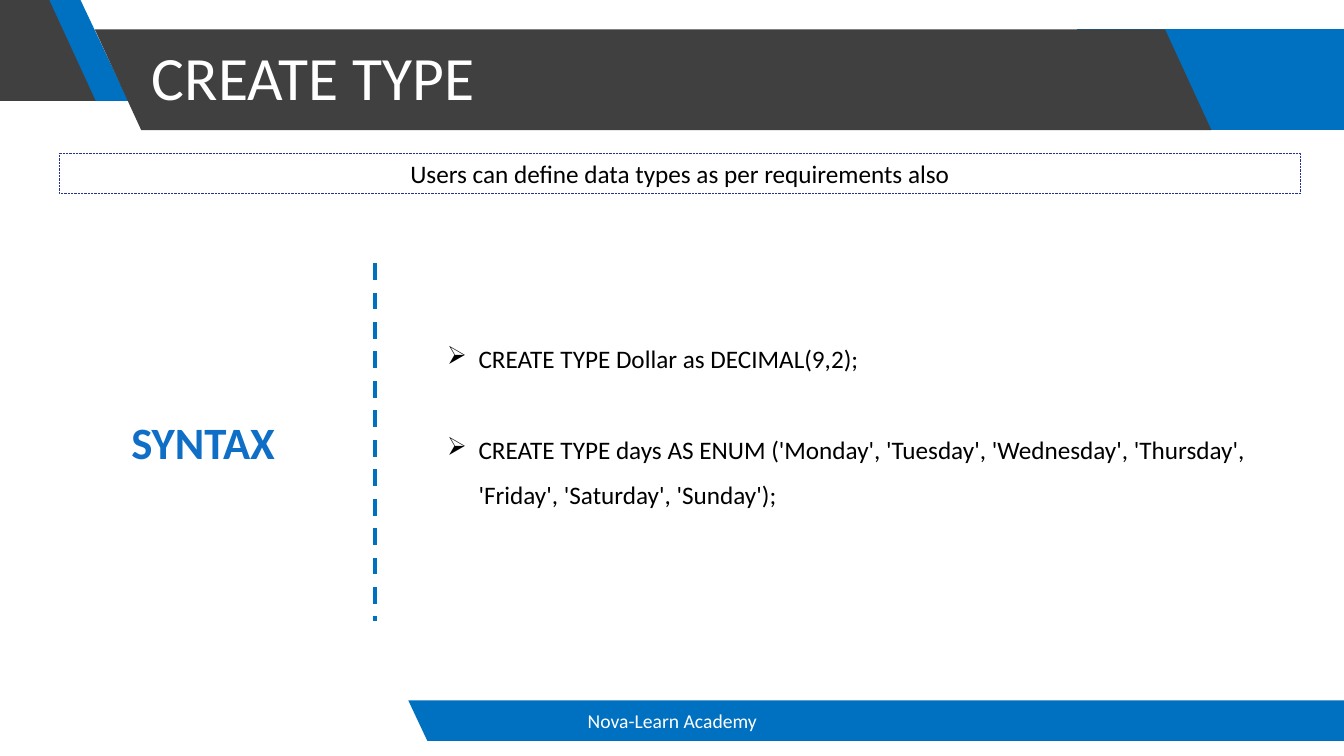
from lxml.etree import SubElement
from pptx import Presentation
from pptx.dml.color import RGBColor
from pptx.enum.dml import MSO_LINE
from pptx.enum.shapes import MSO_CONNECTOR, MSO_SHAPE
from pptx.enum.text import MSO_ANCHOR, PP_ALIGN
from pptx.oxml.ns import qn
from pptx.util import Cm, Pt

BLUE = RGBColor(0x00, 0x70, 0xC0)
DARK = RGBColor(0x40, 0x40, 0x40)
NAVY = RGBColor(0x26, 0x33, 0x93)
SYNTAX_BLUE = RGBColor(0x0F, 0x6F, 0xC6)
WHITE = RGBColor(0xFF, 0xFF, 0xFF)
BLACK = RGBColor(0x00, 0x00, 0x00)

prs = Presentation()
prs.slide_width, prs.slide_height = Cm(33.87), Cm(19.05)
slide = prs.slides.add_slide(prs.slide_layouts[6])
shapes = slide.shapes


def add_band(color, *corners):
    points = [(Cm(x), Cm(y)) for x, y in corners]
    builder = shapes.build_freeform(*points[0])
    builder.add_line_segments(points[1:])
    band = builder.convert_to_shape()
    band.shadow.inherit = False
    band.fill.solid()
    band.fill.fore_color.rgb = color
    band.line.fill.background()


def write(box, lines, size, color, align=PP_ALIGN.CENTER, bold=False):
    frame = box.text_frame
    frame.word_wrap = True
    frame.vertical_anchor = MSO_ANCHOR.MIDDLE
    frame.text = "\n".join(lines)
    for paragraph in frame.paragraphs:
        paragraph.alignment = align
        for run in paragraph.runs:
            run.font.name = "Calibri"
            run.font.size = Pt(size)
            run.font.bold = bold
            run.font.color.rgb = color
    return frame


# Header and footer bands
add_band(BLUE, (27.13, 0.74), (33.87, 0.74), (33.87, 3.28), (27.13, 3.28))
add_band(BLUE, (0.86, 0), (2.03, 0), (3.23, 2.54), (2.06, 2.54))
add_band(DARK, (0, 0), (1.24, 0), (2.41, 2.54), (0, 2.54))
add_band(DARK, (2.39, 0.74), (29.36, 0.74), (30.53, 3.28), (3.56, 3.28))
add_band(BLUE, (10.29, 17.65), (33.87, 17.65), (33.87, 18.67), (10.77, 18.67))

# Title and footer text
title = shapes.add_textbox(Cm(3.58), Cm(0.18), Cm(25.76), Cm(3.68))
title_frame = write(title, ["CREATE TYPE"], 44, WHITE, PP_ALIGN.LEFT)
title_frame.paragraphs[0].line_spacing = 0.9
footer = shapes.add_textbox(Cm(11.23), Cm(17.65), Cm(11.43), Cm(1.02))
write(footer, ["Nova-Learn Academy"], 14, WHITE)

# Summary in a dotted frame
summary = shapes.add_shape(MSO_SHAPE.RECTANGLE, Cm(1.5), Cm(3.86), Cm(31.27), Cm(1.02))
summary.shadow.inherit = False
summary.fill.background()
summary.line.color.rgb = NAVY
summary.line.width = Pt(0.5)
summary.line.dash_style = MSO_LINE.ROUND_DOT
write(summary, ["Users can define data types as per requirements also"], 18, BLACK)

# Dashed divider
divider = shapes.add_connector(MSO_CONNECTOR.STRAIGHT, Cm(9.45), Cm(6.63), Cm(9.45), Cm(15.65))
divider.line.color.rgb = BLUE
divider.line.width = Pt(3)
divider.line.dash_style = MSO_LINE.DASH
SubElement(divider.element.spPr, qn("a:effectLst"))

# Syntax label and statements
syntax = shapes.add_textbox(Cm(0.79), Cm(10.31), Cm(8.66), Cm(1.63))
write(syntax, ["SYNTAX"], 32, SYNTAX_BLUE, bold=True)

statements = shapes.add_textbox(Cm(11.02), Cm(8.15), Cm(20.98), Cm(4.75))
statement_frame = write(statements, [
    "CREATE TYPE Dollar as DECIMAL(9,2);",
    "CREATE TYPE days AS ENUM ('Monday', 'Tuesday', 'Wednesday', 'Thursday', "
    "'Friday', 'Saturday', 'Sunday');",
], 18, BLACK, PP_ALIGN.LEFT)
statement_frame.vertical_anchor = MSO_ANCHOR.TOP
for paragraph in statement_frame.paragraphs:
    paragraph.line_spacing = 1.5
    properties = paragraph._p.get_or_add_pPr()
    properties.set("marL", str(Cm(0.79)))
    properties.set("indent", str(-Cm(0.79)))
    SubElement(properties, qn("a:buFont"), typeface="Wingdings")
    SubElement(properties, qn("a:buChar"), char="Ø")
statement_frame.paragraphs[1].space_before = Pt(32.5)

prs.save("out.pptx")
